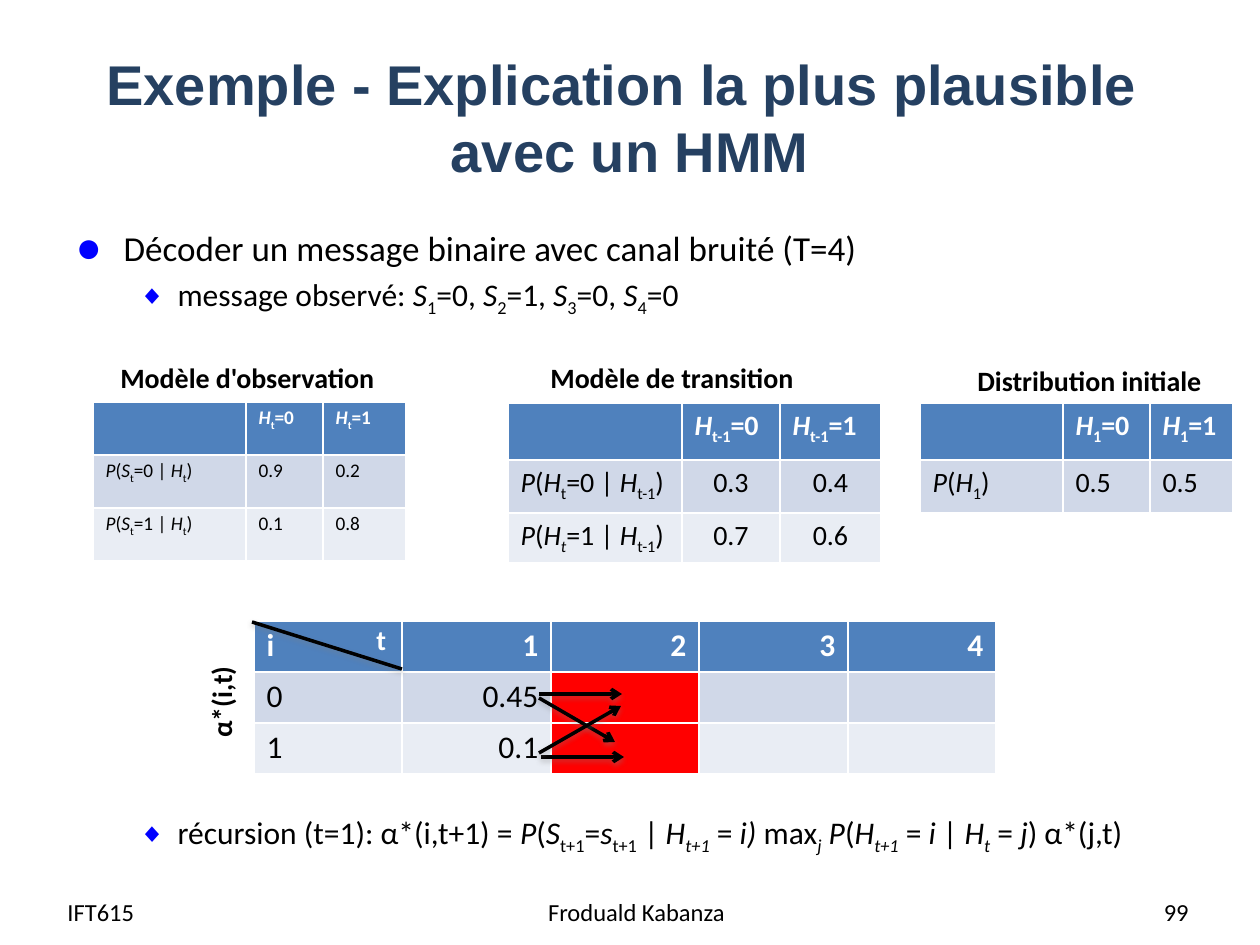
from dataclasses import dataclass

from lxml import etree
from pptx import Presentation
from pptx.dml.color import RGBColor
from pptx.enum.shapes import MSO_CONNECTOR
from pptx.enum.text import MSO_ANCHOR, MSO_AUTO_SIZE, PP_ALIGN
from pptx.oxml.ns import qn
from pptx.util import Emu, Pt

LEFT, MID, RIGHT = PP_ALIGN.LEFT, PP_ALIGN.CENTER, PP_ALIGN.RIGHT
TOP, CENTER = MSO_ANCHOR.TOP, MSO_ANCHOR.MIDDLE
FIXED = MSO_AUTO_SIZE.NONE
LINE = MSO_CONNECTOR.STRAIGHT

BLACK = RGBColor(0x00, 0x00, 0x00)
WHITE = RGBColor(0xFF, 0xFF, 0xFF)
NAVY = RGBColor(0x25, 0x40, 0x61)
BLUE = RGBColor(0x00, 0x00, 0xFF)
HEAD = RGBColor(0x4F, 0x81, 0xBD)
BANDS = (RGBColor(0xD0, 0xD8, 0xE8), RGBColor(0xE9, 0xED, 0xF4))
RED = RGBColor(0xFF, 0x00, 0x00)

SCALE = 914400 / 126  # EMU per px


@dataclass
class Label:
    text: str
    box: tuple
    size: int = 16
    bold: bool = True
    color: RGBColor = BLACK
    align: PP_ALIGN = LEFT
    anchor: MSO_ANCHOR = TOP
    turn: int = 0


@dataclass
class Grid:
    at: tuple
    cols: tuple
    rows: tuple
    cells: tuple
    size: int = 16
    pad: int = 6
    head: PP_ALIGN = LEFT
    align: PP_ALIGN = LEFT
    marked: tuple = ()


@dataclass
class Stroke:
    start: tuple
    end: tuple
    arrow: bool = True


@dataclass
class Bullet:
    text: str
    size: int
    level: int
    char: str
    scale: int
    left: int
    hang: int
    gap: float


def px(n: int) -> Emu:
    return Emu(round(n * SCALE))


def place(shape, box: tuple) -> None:
    shape.left, shape.top, shape.width, shape.height = map(px, box)


def write(para, text: str, size: int, color: RGBColor = BLACK,
          bold: bool = False, face: str = "Calibri") -> None:
    """Add runs; a slash toggles italics, an underscore toggles subscript."""
    parts, word, slant, low = [], "", False, False
    for char in text + "/":
        if char not in "/_":
            word += char
            continue
        if word:
            parts.append((word, slant, low))
        word = ""
        if char == "/":
            slant = not slant
        else:
            low = not low
    for word, slant, low in parts:
        run = para.add_run()
        run.text = word
        font = run.font
        font.name, font.size = face, Pt(size)
        font.bold, font.italic = bold, slant
        font.color.rgb = color
        if low:
            run._r.get_or_add_rPr().set("baseline", "-25000")


def add_label(slide, label: Label) -> None:
    shape = slide.shapes.add_textbox(*map(px, label.box))
    shape.rotation = label.turn
    frame = shape.text_frame
    frame.word_wrap = True
    frame.vertical_anchor = label.anchor
    para = frame.paragraphs[0]
    para.alignment = label.align
    write(para, label.text, label.size, label.color, label.bold)


def add_grid(slide, grid: Grid) -> None:
    box = (*grid.at, sum(grid.cols), sum(grid.rows))
    table = slide.shapes.add_table(
        len(grid.rows), len(grid.cols), *map(px, box)).table
    for col, width in zip(table.columns, grid.cols):
        col.width = px(width)
    for row, height in zip(table.rows, grid.rows):
        row.height = px(height)
    for r, texts in enumerate(grid.cells):
        top = r == 0
        for c, text in enumerate(texts):
            cell = table.cell(r, c)
            cell.margin_top = cell.margin_bottom = px(grid.pad)
            cell.fill.solid()
            shade = HEAD if top else BANDS[(r - 1) % 2]
            cell.fill.fore_color.rgb = RED if (r, c) in grid.marked else shade
            para = cell.text_frame.paragraphs[0]
            if c:
                para.alignment = grid.head if top else grid.align
            write(para, text, grid.size, WHITE if top else BLACK, top)


def add_stroke(slide, stroke: Stroke) -> None:
    line = slide.shapes.add_connector(
        LINE, *map(px, stroke.start + stroke.end))
    line.line.color.rgb = BLACK
    line.line.width = Pt(2)
    if stroke.arrow:
        etree.SubElement(line.line._get_or_add_ln(), qn("a:tailEnd"),
                         type="arrow")
    # Soft grey shadow below the line
    effects = etree.SubElement(line._element.spPr, qn("a:effectLst"))
    shadow = etree.SubElement(
        effects, qn("a:outerShdw"), blurRad=str(Pt(3.1)), dist=str(Pt(1.6)),
        dir="5400000", rotWithShape="0")
    tint = etree.SubElement(shadow, qn("a:srgbClr"), val="808080")
    etree.SubElement(tint, qn("a:alpha"), val="38000")


def add_bullet(para, item: Bullet) -> None:
    para.level = item.level
    props = para._p.get_or_add_pPr()
    props.set("marL", str(px(item.left)))
    props.set("indent", str(-px(item.hang)))
    tint = etree.SubElement(props, qn("a:buClr"))
    etree.SubElement(tint, qn("a:srgbClr"), val=str(BLUE))
    etree.SubElement(props, qn("a:buSzPct"), val=str(item.scale * 1000))
    etree.SubElement(props, qn("a:buChar"), char=item.char)
    para.space_before = Pt(item.gap)
    write(para, item.text, item.size)


def sub_item(text: str, gap: float) -> Bullet:
    return Bullet(text, 18, 1, "◆", 85, 102, 39, gap)


TITLE = ("Exemple - Explication la plus plausible ", "avec un HMM")
ITEMS = (
    Bullet("Décoder un message binaire avec canal bruité (T=4)",
           20, 0, "●", 125, 48, 48, 0),
    sub_item("message observé: /S/_1_=0, /S/_2_=1, /S/_3_=0, /S/_4_=0", 3.6),
    sub_item("récursion (t=1): α*(i,t+1) = /P/(/S/_t+1_=/s/_t+1_ | /H_t+1_/ = "
             "/i) /max/_j_ P/(/H_t+1_/ = /i /| /H_t_/ = /j/) α*(j,t)", 283),
)
GRIDS = (
    Grid((93, 402), (153, 77, 83), (53, 53, 53), (
        ("", "/H/_t_=0", "/H/_t_=1"),
        ("/P/(/S/_t_=0 | /H/_t_)", "0.9", "0.2"),
        ("/P/(/S/_t_=1 | /H/_t_)", "0.1", "0.8")), size=11, pad=4),
    Grid((508, 403), (174, 98, 101), (57, 53, 50), (
        ("", "/H/_t-1_=0", "/H/_t-1_=1"),
        ("/P/(/H/_t_=0 | /H/_t-1_)", "0.3", "0.4"),
        ("/P/(/H_t_/=1 | /H/_t-1_)", "0.7", "0.6")), align=MID),
    Grid((920, 403), (143, 87, 83), (57, 53), (
        ("", "/H/_1_=0", "/H/_1_=1"),
        ("/P/(/H/_1_)", "0.5", "0.5"))),
    Grid((254, 621), (148, 149, 148, 149, 148), (51, 51, 51), (
        ("i", "1", "2", "3", "4"),
        ("0", "0.45", "", "", ""),
        ("1", "0.1", "", "", "")),
        size=18, head=RIGHT, align=RIGHT, marked=((1, 2), (2, 2))),
)
LABELS = (
    Label("Modèle d'observation", (108, 354, 302, 47)),
    Label("Modèle de transition", (538, 354, 336, 47)),
    Label("Distribution initiale", (965, 357, 295, 47)),
    Label("α*(i,t)", (163, 668, 117, 47), turn=270),
    Label("t", (364, 616, 38, 47), color=WHITE),
    # Footer
    Label("IFT615", (55, 887, 243, 50), 14, False, anchor=CENTER),
    Label("Froduald Kabanza", (437, 887, 399, 50), 14, False,
          align=MID, anchor=CENTER),
    Label("99", (907, 887, 294, 50), 14, False, align=RIGHT, anchor=CENTER),
)
STROKES = (
    Stroke((252, 622), (402, 669), arrow=False),
    Stroke((539, 694), (622, 694)),
    Stroke((541, 757), (624, 757)),
    Stroke((539, 698), (615, 742)),
    Stroke((539, 753), (621, 706)),
)


def main() -> None:
    deck = Presentation()
    deck.slide_width, deck.slide_height = px(1260), px(945)
    slide = deck.slides.add_slide(deck.slide_layouts[1])

    # Title
    title = slide.shapes.title
    place(title, (63, 38, 1134, 157))
    frame = title.text_frame
    frame.auto_size, frame.vertical_anchor = FIXED, CENTER
    para = frame.paragraphs[0]
    para.alignment = MID
    for i, text in enumerate(TITLE):
        if i:
            para.add_line_break()
        write(para, text, 32, NAVY, True, "Arial")

    # Bullet list
    body = slide.placeholders[1]
    place(body, (63, 220, 1134, 624))
    frame = body.text_frame
    frame.auto_size = FIXED
    for i, item in enumerate(ITEMS):
        add_bullet(frame.add_paragraph() if i else frame.paragraphs[0], item)

    # Tables, captions and arrows
    for grid in GRIDS:
        add_grid(slide, grid)
    for label in LABELS:
        add_label(slide, label)
    for stroke in STROKES:
        add_stroke(slide, stroke)

    deck.save("out.pptx")


if __name__ == "__main__":
    main()
